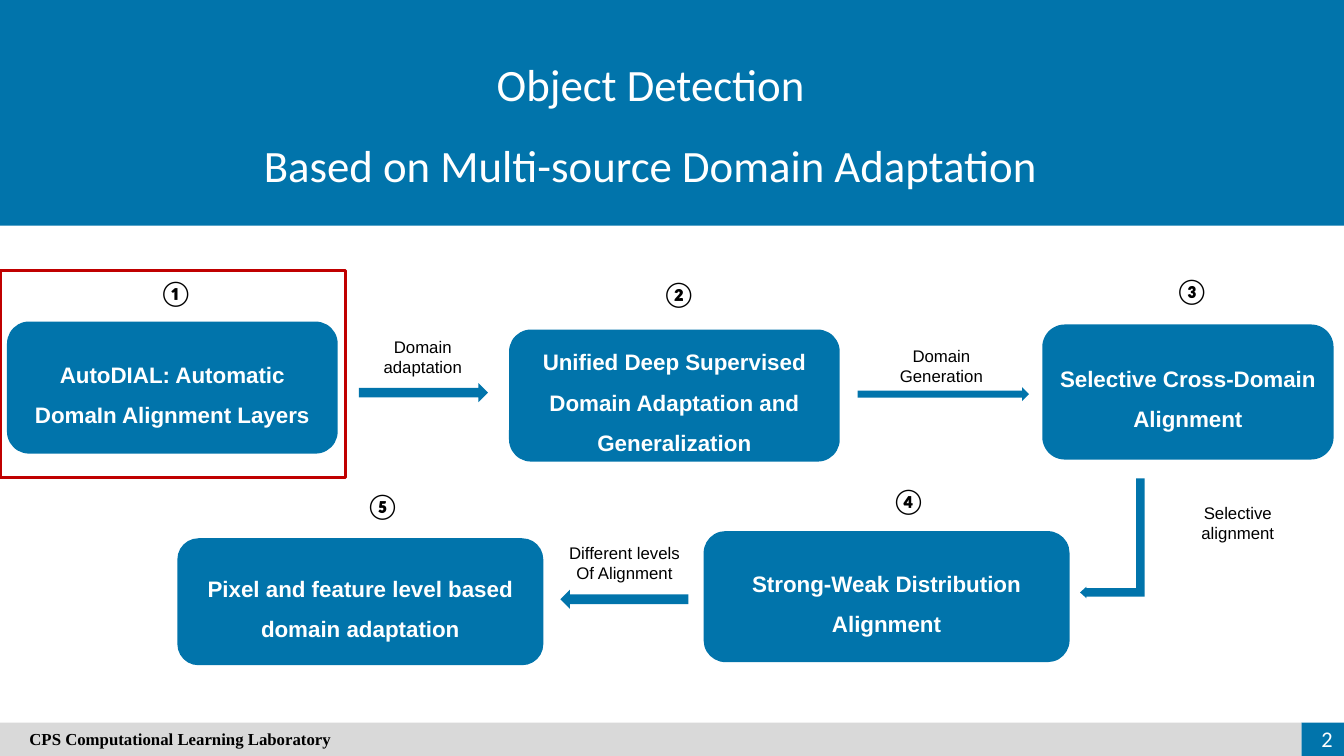
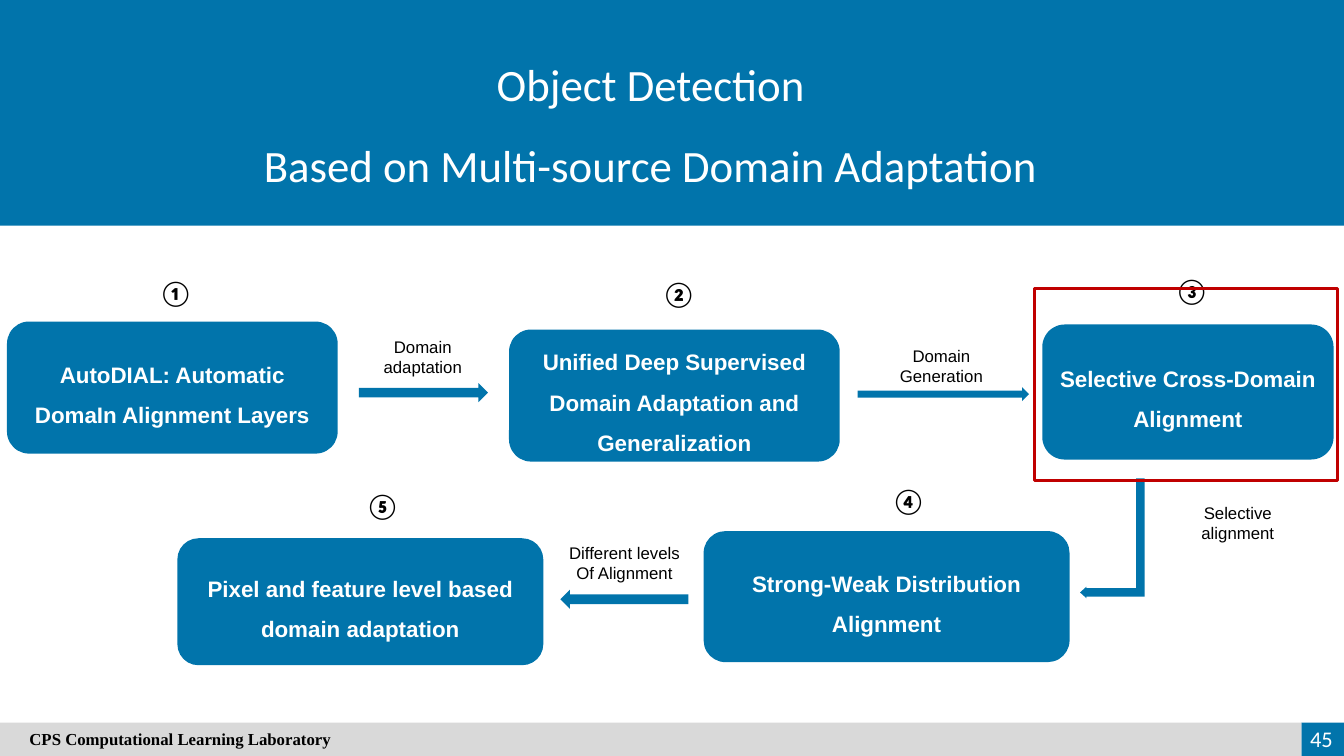
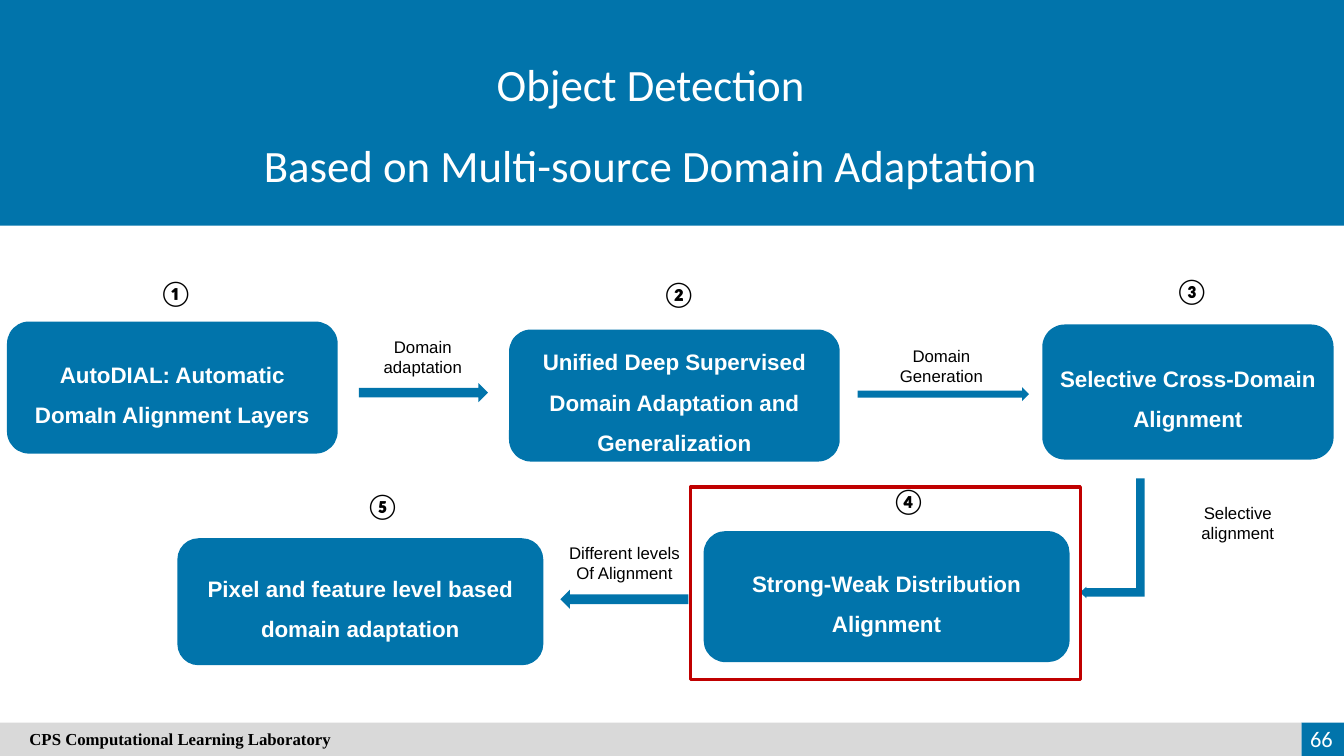
from pptx import Presentation
from pptx import util as u
from pptx.dml import color
from pptx.enum import shapes, text

COLOURS = {"blue": "0174AB", "grey": "D9D9D9", "red": "C00000",
           "white": "FFFFFF", "black": "000000"}
SHAPE = shapes.MSO_SHAPE
ALIGN = text.PP_ALIGN
ANCHOR = text.MSO_ANCHOR
TITLE = ["Object Detection", "Based on Multi-source Domain Adaptation"]
FOOTER = "CPS Computational Learning Laboratory"

# Method boxes: left, top, width, height, wording
METHODS = [
    (5, 229.7, 236.2, 94.3, "AutoDIAL: Automatic DomaIn Alignment Layers"),
    (363.6, 235.4, 236.2, 94.3,
     "Unified Deep Supervised Domain Adaptation and Generalization"),
    (744.5, 231.8, 208.1, 96.5, "Selective Cross-Domain Alignment"),
    (502.6, 379.4, 261.4, 93.6, "Strong-Weak Distribution Alignment"),
    (126.7, 384.5, 261.4, 90.7,
     "Pixel and feature level based domain adaptation"),
]
# Numbers above the method boxes: left, top, wording
NUMBERS = [(106.6, 194.4, "①"), (465.8, 195.1, "②"), (832.3, 193, "③"),
           (630, 343.4, "④"), (254.2, 347, "⑤")]
ARROWS = [
    (SHAPE.RIGHT_ARROW, 256.3, 273.6, 92.2, 13.7),
    (SHAPE.RIGHT_ARROW, 612.7, 276.5, 122.4, 10.1),
    (SHAPE.LEFT_ARROW, 400.3, 421.2, 91.4, 13.7),
]
# Arrow labels: left, top, width, lines
LABELS = [
    (223.9, 236.9, 156.2, ["Domain", "adaptation"]),
    (589.7, 243.4, 165.6, ["Domain", "Generation"]),
    (809.2, 355.7, 150, ["Selective", "alignment"]),
    (373, 383.8, 146.2, ["Different levels", "Of Alignment"]),
]
# Page number and the frame around the current method
PAGES = [
    ("2", (0, 193, 247, 148.3)),
    ("45", (738.7, 205.9, 216.7, 137.5)),
    ("66", (493.2, 347.8, 278.6, 137.5)),
]


def draw(page, kind, left, top, width, height, fill=None):
    """Add a text box (kind None) or a plain preset shape, in points."""
    place = [u.Pt(value) for value in (left, top, width, height)]
    if kind is None:
        box = page.shapes.add_textbox(*place)
        box.text_frame.word_wrap = True
        return box
    box = page.shapes.add_shape(kind, *place)
    box.shadow.inherit = False
    box.line.fill.background()
    if fill:
        box.fill.solid()
        box.fill.fore_color.rgb = color.RGBColor.from_string(COLOURS[fill])
    else:
        box.fill.background()
    return box


def write(box, lines, size, face, colour, bold=False, align=ALIGN.CENTER,
          spacing=1.0, anchor=ANCHOR.TOP):
    """Put one paragraph per line into the box."""
    frame = box.text_frame
    frame.vertical_anchor = anchor
    for index, line in enumerate(lines):
        para = frame.add_paragraph() if index else frame.paragraphs[0]
        para.alignment = align
        para.line_spacing = spacing
        span = para.add_run()
        span.text = line
        span.font.size = u.Pt(size)
        span.font.name = face
        span.font.bold = bold
        span.font.color.rgb = color.RGBColor.from_string(COLOURS[colour])


deck = Presentation()
deck.slide_width, deck.slide_height = u.Pt(960), u.Pt(540)

for page_number, frame_place in PAGES:
    page = deck.slides.add_slide(deck.slide_layouts[6])

    # Title band
    draw(page, SHAPE.RECTANGLE, 0, 0, 960, 161.3, "blue")
    title = draw(page, None, 24.5, 18, 880.6, 117.4)
    write(title, TITLE, 32, "Calibri", "white", spacing=1.5)

    # Methods
    for left, top, width, height, wording in METHODS:
        method = draw(page, SHAPE.ROUNDED_RECTANGLE, left, top, width, height,
                      "blue")
        write(method, [wording], 16, "Arial", "white", bold=True, spacing=1.5,
              anchor=ANCHOR.MIDDLE)

    # Arrows between methods
    for kind, *place in ARROWS:
        draw(page, kind, *place, "blue")
    bent = draw(page, SHAPE.BENT_UP_ARROW, 751.7, 361.4, 85.7, 46.1, "blue")
    for index, value in enumerate((0.13, 0.09, 0.1)):
        bent.adjustments[index] = value
    bent.rotation = 90
    bent.element.spPr.xfrm.set("flipV", "1")

    # Arrow labels
    for left, top, width, lines in LABELS:
        write(draw(page, None, left, top, width, 36), lines, 12, "Arial",
              "black")

    # Method numbers
    for left, top, wording in NUMBERS:
        number = draw(page, None, left, top, 32.4, 28.8)
        number.text_frame.word_wrap = False
        write(number, [wording], 18, "Calibri", "black", bold=True,
              align=ALIGN.LEFT)

    # Footer and page number
    draw(page, SHAPE.RECTANGLE, 929.5, 516.2, 30.5, 23.8, "blue")
    footer = draw(page, SHAPE.RECTANGLE, 0, 516.2, 929.5, 23.8, "grey")
    footer.text_frame.margin_left = u.Pt(21)
    write(footer, [FOOTER], 12, "Times New Roman", "black", bold=True,
          align=ALIGN.LEFT, anchor=ANCHOR.MIDDLE)
    corner = draw(page, None, 913.7, 513.4, 45.4, 26.6)
    corner.text_frame.margin_bottom = u.Pt(1.4)
    write(corner, [page_number], 16, "Calibri", "white", align=ALIGN.RIGHT,
          anchor=ANCHOR.MIDDLE)

    # Frame around the current method
    highlight = draw(page, SHAPE.RECTANGLE, *frame_place)
    highlight.line.color.rgb = color.RGBColor.from_string(COLOURS["red"])
    highlight.line.width = u.Pt(2.25)

deck.save("out.pptx")
